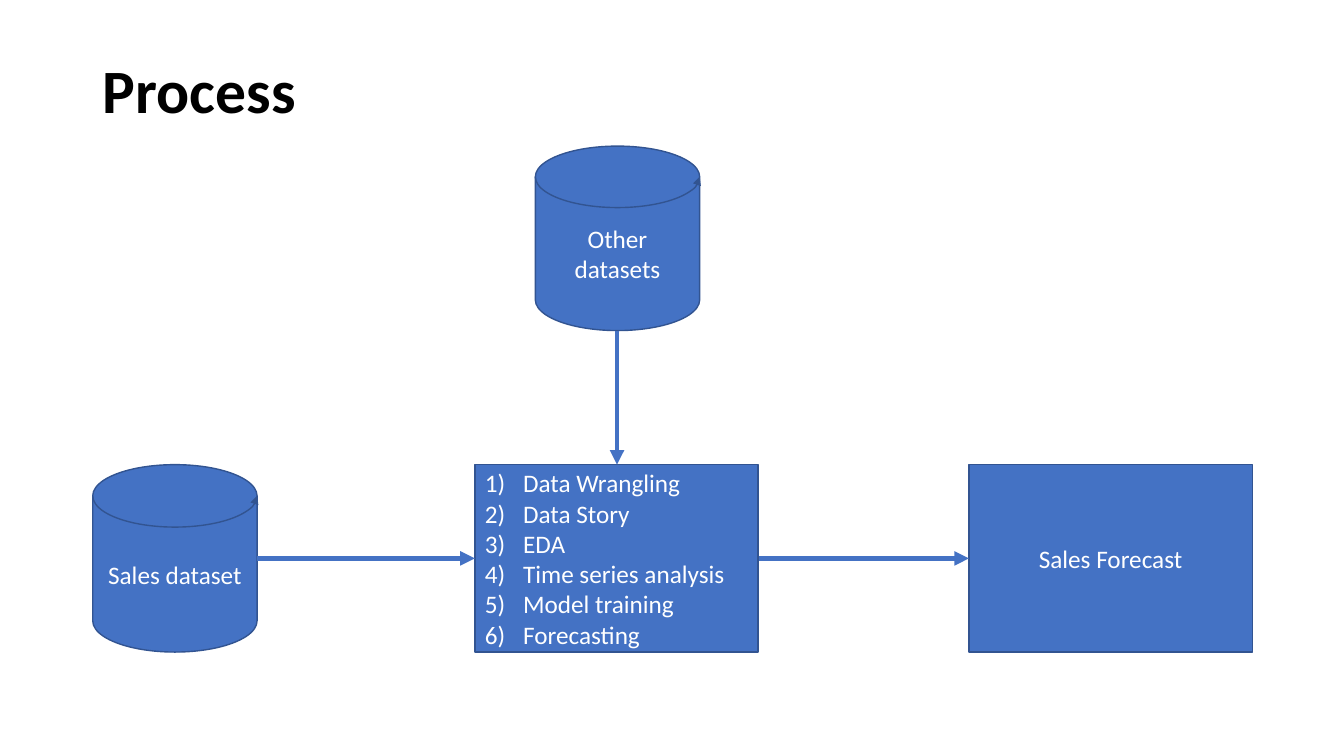
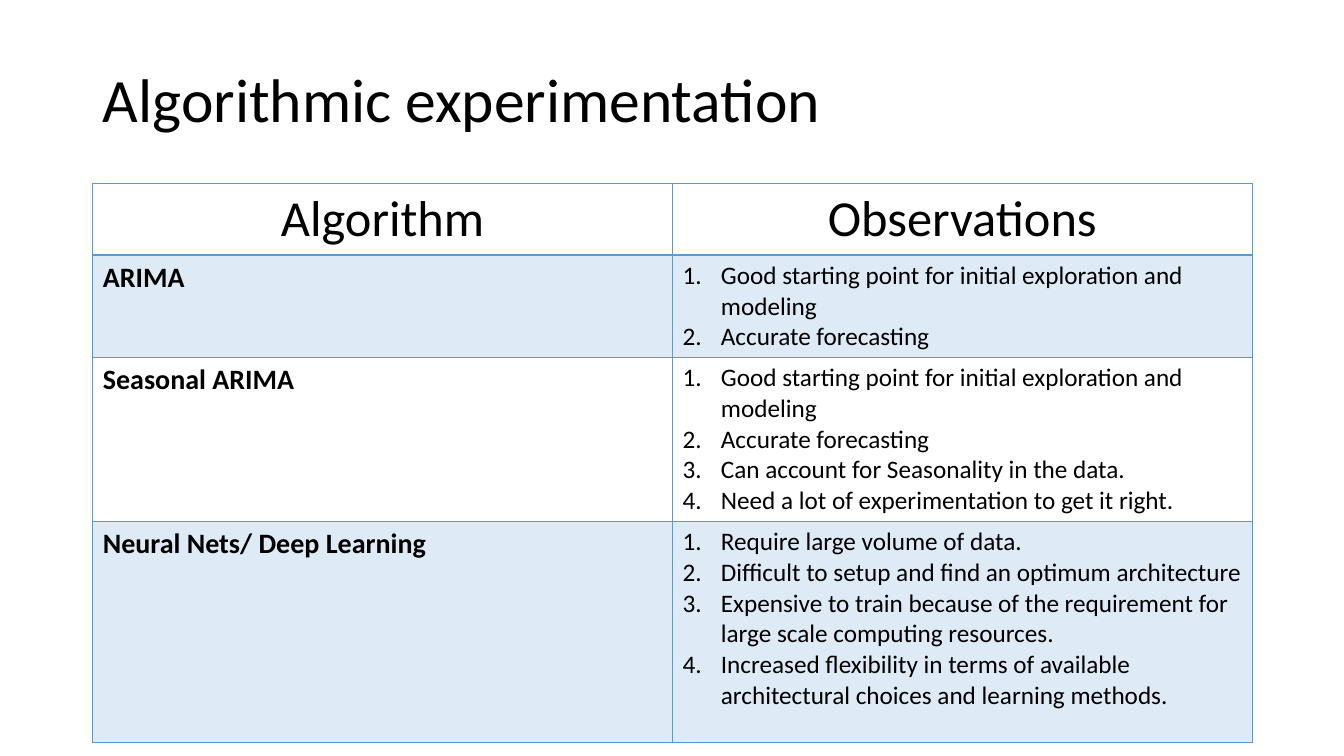
from pptx import Presentation
from pptx.dml.color import RGBColor
from pptx.enum.shapes import MSO_CONNECTOR, MSO_SHAPE as SHAPE
from pptx.enum.text import MSO_ANCHOR as ANCHOR, MSO_AUTO_SIZE, PP_ALIGN as ALIGN
from pptx.oxml import parse_xml
from pptx.oxml.ns import nsdecls, qn
from pptx.util import Inches, Pt

COLORS = {name: RGBColor.from_string(value) for name, value in {
    "text": "000000", "light": "FFFFFF", "box": "4472C4",
    "outline": "325491", "table": "5B9BD5",
}.items()}
FONT = "Calibri"
LEFT, WIDTH = 0.92, 11.5


def add_xml(parent, tag, attributes="", content=""):
    parent.append(parse_xml(f"<a:{tag} {nsdecls('a')} {attributes}>{content}</a:{tag}>"))


def write_lines(text_frame, lines, size, color, bold=False, align=ALIGN.LEFT, numbering=None):
    """Write one paragraph per line, numbered if a scheme is given."""
    for index, line in enumerate(lines):
        paragraph = text_frame.add_paragraph() if index else text_frame.paragraphs[0]
        paragraph.text = line
        paragraph.alignment = align
        paragraph.font.name = FONT
        paragraph.font.size = Pt(size)
        paragraph.font.bold = bold
        paragraph.font.color.rgb = COLORS[color]
        if numbering:
            properties = paragraph._p.get_or_add_pPr()
            properties.set("marL", str(Inches(0.38)))
            properties.set("indent", str(-Inches(0.38)))
            add_xml(properties, "buFont", 'typeface="+mj-lt"')
            add_xml(properties, "buAutoNum", f'type="{numbering}"')


presentation = Presentation()
presentation.slide_width = Inches(13.33)
presentation.slide_height = Inches(7.5)

# Slides with their titles
slides = []
for text, width, height, bold in [
    ("Process", WIDTH, 1.05, True),
    ("Algorithmic experimentation", 11.25, 1.24, False),
]:
    slide = presentation.slides.add_slide(presentation.slide_layouts[5])
    title = slide.shapes.title
    title.left, title.top = Inches(LEFT), Inches(0.4)
    title.width, title.height = Inches(width), Inches(height)
    title.text_frame.auto_size = MSO_AUTO_SIZE.NONE
    title.text_frame.vertical_anchor = ANCHOR.MIDDLE
    write_lines(title.text_frame, [text], 44, "text", bold)
    title.text_frame.paragraphs[0].line_spacing = 0.9
    slides.append(slide)
process_slide, table_slide = slides

# Process: datasets, steps and forecast
DISK, BOX = SHAPE.FLOWCHART_MAGNETIC_DISK, SHAPE.FLOWCHART_PROCESS
ROW_TOP, ROW_HEIGHT = 4.61, 1.86
STEPS = ["Data Wrangling", "Data Story", "EDA", "Time series analysis",
         "Model training", "Forecasting"]
for kind, left, top, width, height, lines in [
    (DISK, LEFT, ROW_TOP, 1.63, ROW_HEIGHT, ["Sales dataset"]),
    (DISK, 5.31, 1.45, 1.63, 1.83, ["Other datasets"]),
    (BOX, 4.71, ROW_TOP, 2.81, ROW_HEIGHT, STEPS),
    (BOX, 9.61, ROW_TOP, 2.81, ROW_HEIGHT, ["Sales Forecast"]),
]:
    shape = process_slide.shapes.add_shape(
        kind, Inches(left), Inches(top), Inches(width), Inches(height))
    shape.shadow.inherit = False
    shape.fill.solid()
    shape.fill.fore_color.rgb = COLORS["box"]
    shape.line.color.rgb = COLORS["outline"]
    shape.line.width = Pt(1)
    if kind == DISK:
        add_xml(shape._element.spPr.find(qn("a:ln")), "headEnd", 'type="triangle"')
    shape.text_frame.word_wrap = True
    shape.text_frame.vertical_anchor = ANCHOR.MIDDLE
    is_list = len(lines) > 1
    write_lines(shape.text_frame, lines, 18, "light",
                align=ALIGN.LEFT if is_list else ALIGN.CENTER,
                numbering="arabicParenR" if is_list else None)

# Process: arrows
middle = ROW_TOP + ROW_HEIGHT / 2
for x1, y1, x2, y2 in [
    (6.12, 3.28, 6.12, ROW_TOP),
    (2.55, middle, 4.71, middle),
    (7.53, middle, 9.61, middle),
]:
    arrow = process_slide.shapes.add_connector(
        MSO_CONNECTOR.STRAIGHT, Inches(x1), Inches(y1), Inches(x2), Inches(y2))
    arrow.line.color.rgb = COLORS["box"]
    arrow.line.width = Pt(3.5)
    add_xml(arrow._element.spPr.find(qn("a:ln")), "tailEnd", 'type="triangle"')
    add_xml(arrow._element.spPr, "effectLst")

# Algorithms and observations
START = "Good starting point for initial exploration and modeling"
ACCURATE = "Accurate forecasting"
ROWS = [
    (0.65, "Algorithm", ["Observations"]),
    (0.92, "ARIMA", [START, ACCURATE]),
    (1.47, "Seasonal ARIMA", [
        START, ACCURATE, "Can account for Seasonality in the data.",
        "Need a lot of experimentation to get it right."]),
    (2.19, "Neural Nets/ Deep Learning", [
        "Require large volume of data.",
        "Difficult to setup and find an optimum architecture",
        "Expensive to train because of the requirement for large scale computing resources.",
        "Increased flexibility in terms of available architectural choices and learning methods."]),
]
table = table_slide.shapes.add_table(
    len(ROWS), 2, Inches(LEFT), Inches(1.82), Inches(WIDTH),
    Inches(sum(row[0] for row in ROWS))).table
table.first_row = table.horz_banding = False
for row, (height, algorithm, observations) in enumerate(ROWS):
    table.rows[row].height = Inches(height)
    name_cell, notes_cell = table.cell(row, 0), table.cell(row, 1)
    if row == 0:
        for cell, heading in ((name_cell, algorithm), (notes_cell, observations[0])):
            write_lines(cell.text_frame, [heading], 36, "text", align=ALIGN.CENTER)
    else:
        write_lines(name_cell.text_frame, [algorithm], 20, "text", bold=True)
        write_lines(notes_cell.text_frame, observations, 18, "text", numbering="arabicPeriod")

    # Borders come before the fill; the header is ruled off with a thicker line
    for cell in (name_cell, notes_cell):
        properties = cell._tc.get_or_add_tcPr()
        for side in "LRTB":
            thick = (row, side) in ((0, "B"), (1, "T"))
            add_xml(properties, f"ln{side}", f'w="{Pt(2 if thick else 1)}"',
                    f'<a:solidFill><a:srgbClr val="{COLORS["table"]}"/></a:solidFill>')
        if row % 2:
            cell.fill.solid()
            cell.fill.fore_color.rgb = COLORS["table"]
            add_xml(properties.find(qn("a:solidFill"))[0], "alpha", 'val="20000"')
        else:
            cell.fill.background()

presentation.save("out.pptx")
